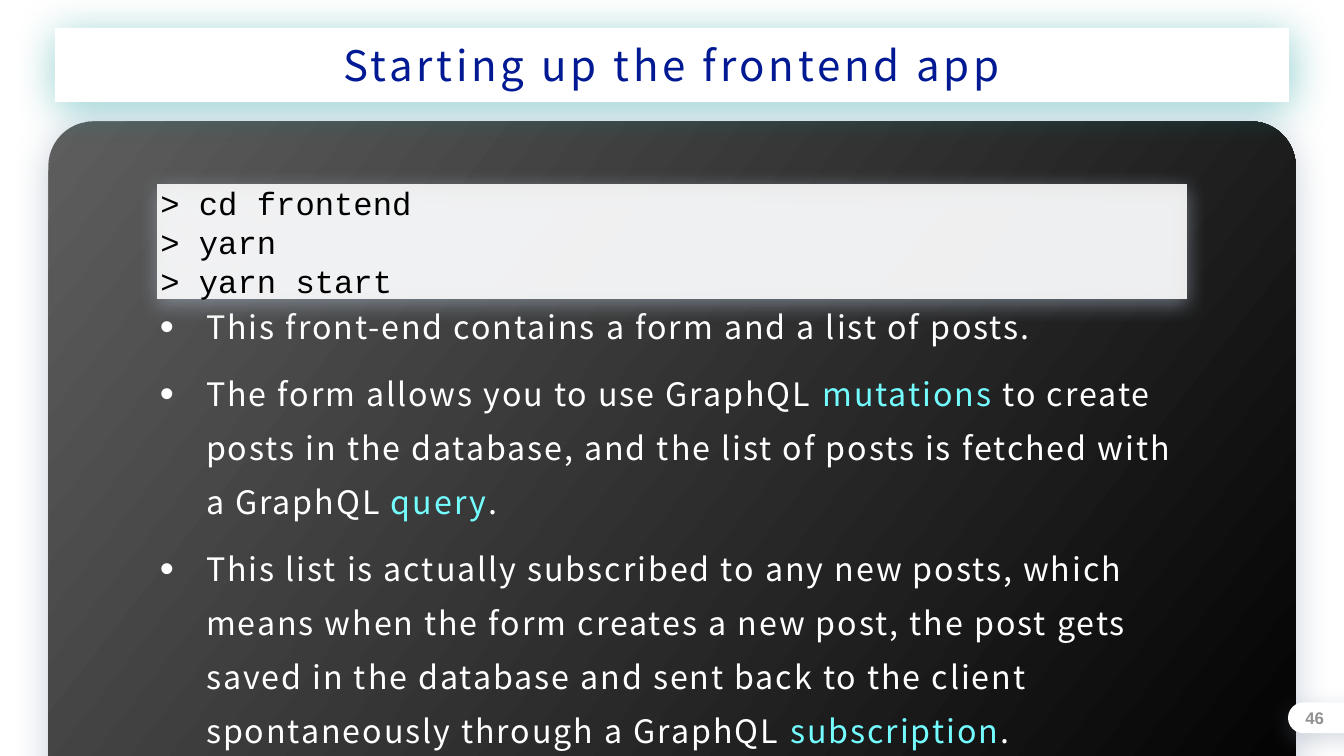
from lxml.etree import SubElement
from pptx import Presentation
from pptx.dml.color import RGBColor
from pptx.enum.shapes import MSO_SHAPE
from pptx.enum.text import MSO_ANCHOR, MSO_AUTO_SIZE, PP_ALIGN
from pptx.oxml.ns import qn
from pptx.util import Pt

TEXT_FONT = "Noto Sans CJK SC"
WHITE = "FFFFFF"
CYAN = "73FDFF"


def color(hex_string):
    return RGBColor.from_string(hex_string)


def add_shadow(shape, hex_string, opacity, blur, distance):
    """Put a soft shadow straight below a shape; lengths are in points."""
    shape.shadow.inherit = False
    effects = shape.element.spPr.find(qn("a:effectLst"))
    shadow = SubElement(effects, qn("a:outerShdw"), blurRad=str(Pt(blur)),
                        dist=str(Pt(distance)), dir="5400000", algn="ctr", rotWithShape="0")
    shade = SubElement(shadow, qn("a:srgbClr"), val=hex_string)
    SubElement(shade, qn("a:alpha"), val=str(opacity * 1000))


presentation = Presentation()
presentation.slide_width = Pt(1920)
presentation.slide_height = Pt(1080)
slide = presentation.slides.add_slide(presentation.slide_layouts[5])
shapes = slide.shapes
title = shapes.title

# Dark panel and page-number tab, behind the title
panel = shapes.add_shape(MSO_SHAPE.ROUNDED_RECTANGLE, Pt(69), Pt(173.5), Pt(1782), Pt(1033))
panel.adjustments[0] = 0.062
panel.fill.gradient()
panel.fill.gradient_angle = 322
for stop, shade in zip(panel.fill.gradient_stops, ("5E5E5E", "000000")):
    stop.color.rgb = color(shade)
add_shadow(panel, "A7B4C6", 61, 50, 6.6)

tab = shapes.add_shape(MSO_SHAPE.ROUNDED_RECTANGLE, Pt(1840), Pt(1003.5), Pt(122), Pt(44))
tab.adjustments[0] = 0.5
tab.fill.solid()
tab.fill.fore_color.rgb = color(WHITE)
add_shadow(tab, "7A899F", 31, 34, 9.5)

for shape in (panel, tab):
    shape.line.fill.background()
    title.element.addprevious(shape.element)

# Title pill
title.left, title.top, title.width, title.height = Pt(78.5), Pt(40), Pt(1763), Pt(106)
pill = SubElement(title.element.spPr, qn("a:prstGeom"), prst="roundRect")
guides = SubElement(pill, qn("a:avLst"))
SubElement(guides, qn("a:gd"), name="adj", fmla="val 50000")
title.fill.solid()
title.fill.fore_color.rgb = color(WHITE)
add_shadow(title, "009193", 44, 60, 6.6)
title.text_frame.text = "Starting up the frontend app"

# Explanation
points = [
    [("This front-end contains a form and a list of posts.", WHITE)],
    [("The form allows you to use GraphQL ", WHITE), ("mutations", CYAN),
     (" to create posts in the database, and the list of posts is fetched with a GraphQL ", WHITE),
     ("query", CYAN), (".", WHITE)],
    [("This list is actually subscribed to any new posts, which means when the form creates "
      "a new post, the post gets saved in the database and sent back to the client "
      "spontaneously through a GraphQL ", WHITE), ("subscription", CYAN), (".", WHITE)],
]
explanation = shapes.add_textbox(Pt(224), Pt(471), Pt(1473), Pt(546.5))
frame = explanation.text_frame
for index, point in enumerate(points):
    paragraph = frame.add_paragraph() if index else frame.paragraphs[0]
    paragraph.line_spacing = 1.4
    if index:
        paragraph.space_before = Pt(18)
    for text, shade in point:
        run = paragraph.add_run()
        run.text = text
        run.font.color.rgb = color(shade)
    properties = paragraph._p.get_or_add_pPr()
    properties.set("marL", str(Pt(66)))
    properties.set("indent", str(Pt(-66)))
    SubElement(properties, qn("a:buSzPct"), val="125000")
    SubElement(properties, qn("a:buFont"), typeface="Arial")
    SubElement(properties, qn("a:buChar"), char="•")

# Commands
commands = shapes.add_shape(MSO_SHAPE.RECTANGLE, Pt(224.5), Pt(263), Pt(1471), Pt(164))
commands.fill.solid()
commands.fill.fore_color.rgb = color(WHITE)
white_fill = commands.element.spPr.find(qn("a:solidFill"))
SubElement(white_fill[0], qn("a:alpha"), val="89000")
commands.line.fill.background()
add_shadow(commands, "A7B4C6", 61, 30, 6.6)
commands.text_frame.text = "> cd frontend\n> yarn\n> yarn start"

# Page number
page_number = shapes.add_textbox(Pt(1841), Pt(1008), Pt(54), Pt(36))
page_number.text_frame.text = "46"
page_number.text_frame.paragraphs[0].font.bold = True

# Text settings: shape, inset, alignment, font, size, colour, letter spacing
settings = [
    (title, 4.5, PP_ALIGN.CENTER, TEXT_FONT, 60, "011993", 5.4),
    (explanation, 4.5, PP_ALIGN.LEFT, TEXT_FONT, 46, WHITE, 2.8),
    (commands, 4.5, PP_ALIGN.LEFT, "Courier New", 46, "000000", 0),
    (page_number, 3.6, PP_ALIGN.RIGHT, "Arial", 24, "919191", 0),
]
for shape, inset, alignment, font_name, size, shade, spacing in settings:
    frame = shape.text_frame
    frame.word_wrap = True
    frame.auto_size = MSO_AUTO_SIZE.NONE
    frame.vertical_anchor = MSO_ANCHOR.MIDDLE
    frame.margin_left = frame.margin_right = frame.margin_top = frame.margin_bottom = Pt(inset)
    for paragraph in frame.paragraphs:
        paragraph.alignment = alignment
        paragraph.font.name = font_name
        paragraph.font.size = Pt(size)
        paragraph.font.color.rgb = color(shade)
    for defaults in shape.element.iter(qn("a:defRPr")):
        defaults.set("spc", str(round(spacing * 100)))

presentation.save("out.pptx")
